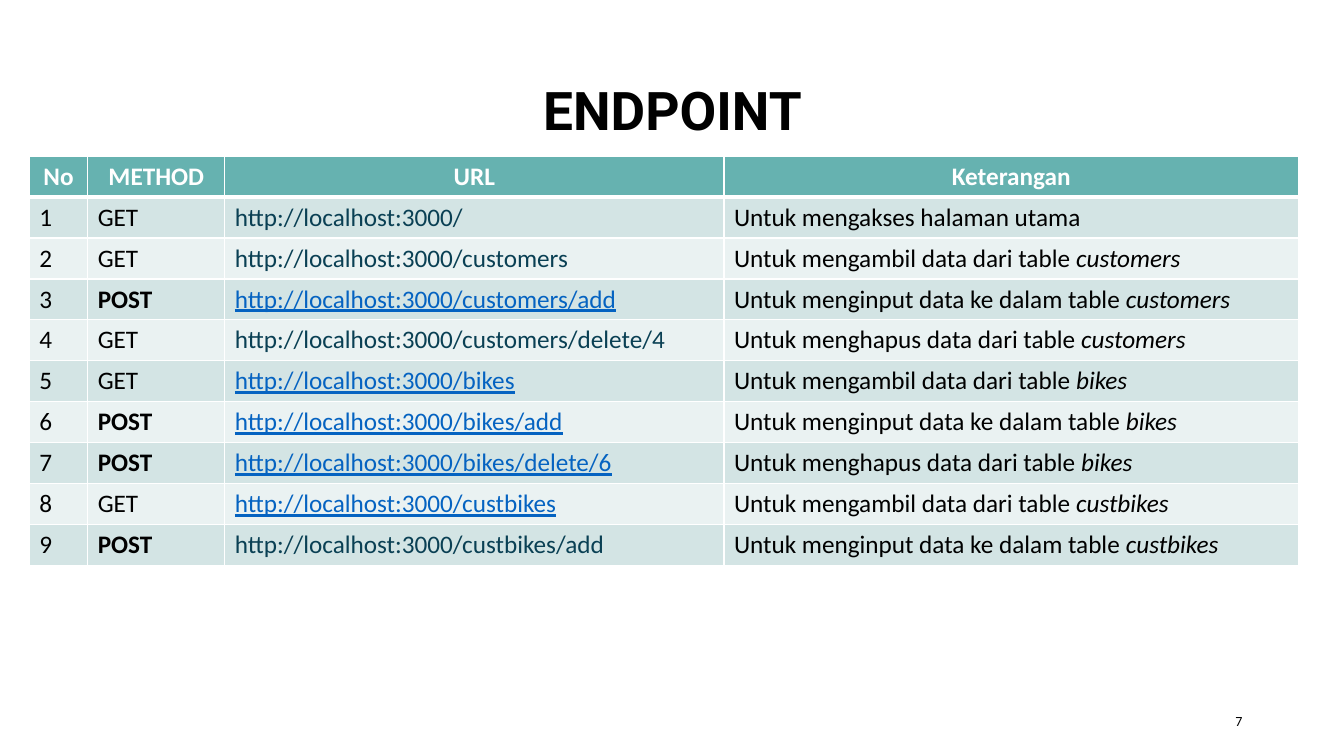
"""Build the ENDPOINT slide, a table of the routes of a local web service."""
import lxml.etree
import pptx
import pptx.dml.color
import pptx.enum.text
import pptx.oxml.ns
import pptx.util
from pptx.util import Inches

TITLE = "ENDPOINT"
PAGE_NUMBER = "7"
HEADERS = ["No", "METHOD", "URL", "Keterangan"]
BASE_URL = "http://localhost:3000/"
ENDPOINTS = [
    ("GET", "", False, "Untuk mengakses halaman utama", ""),
    ("GET", "customers", False, "Untuk mengambil data dari table ", "customers"),
    ("POST", "customers/add", True, "Untuk menginput data ke dalam table ", "customers"),
    ("GET", "customers/delete/4", False, "Untuk menghapus data dari table ", "customers"),
    ("GET", "bikes", True, "Untuk mengambil data dari table ", "bikes"),
    ("POST", "bikes/add", True, "Untuk menginput data ke dalam table ", "bikes"),
    ("POST", "bikes/delete/6", True, "Untuk menghapus data dari table ", "bikes"),
    ("GET", "custbikes", True, "Untuk mengambil data dari table ", "custbikes"),
    ("POST", "custbikes/add", False, "Untuk menginput data ke dalam table ", "custbikes"),
]
COLUMN_WIDTHS = [0.58, 1.36, 4.95, 5.7]
TABLE_HEIGHT = 4.06
BLACK, WHITE = "000000", "FFFFFF"
HEADER_FILL = "66B2B0"
BAND_FILLS = ["D3E4E4", "EAF2F2"]
URL_COLOR, LINK_COLOR = "0A4054", "0563C1"
MIDDLE = pptx.enum.text.MSO_ANCHOR.MIDDLE
ALIGN = pptx.enum.text.PP_ALIGN


def color(value):
    return pptx.dml.color.RGBColor.from_string(value)


def add_text(paragraph, text, size=18, font="Calibri", fill=BLACK, bold=False,
             italic=False, underline=False, align=None):
    run = paragraph.add_run()
    run.text = text
    run.font.size = pptx.util.Pt(size)
    run.font.name = font
    run.font.color.rgb = color(fill)
    run.font.bold = bold
    run.font.italic = italic
    run.font.underline = underline
    if align is not None:
        paragraph.alignment = align


def format_cell(cell, fill, top, bottom):
    cell.fill.solid()
    cell.fill.fore_color.rgb = color(fill)
    properties = cell._tc.get_or_add_tcPr()
    sides = [("lnL", 1), ("lnR", 1), ("lnT", top), ("lnB", bottom)]
    for position, (side, width) in enumerate(sides):
        line = lxml.etree.Element(pptx.oxml.ns.qn(f"a:{side}"), w=str(pptx.util.Pt(width)))
        solid = lxml.etree.SubElement(line, pptx.oxml.ns.qn("a:solidFill"))
        lxml.etree.SubElement(solid, pptx.oxml.ns.qn("a:srgbClr"), val=WHITE)
        properties.insert(position, line)


def add_title(slide):
    title = slide.shapes.title
    title.left, title.top = Inches(0.92), Inches(0.4)
    title.width, title.height = Inches(11.5), Inches(1.45)
    title.text_frame.vertical_anchor = MIDDLE
    paragraph = title.text_frame.paragraphs[0]
    paragraph.line_spacing = 0.9
    add_text(paragraph, TITLE, size=38, font="Roboto", bold=True, align=ALIGN.CENTER)


def add_page_number(slide):
    box = slide.shapes.add_textbox(Inches(9.42), Inches(6.95), Inches(3), Inches(0.4))
    box.text_frame.word_wrap = True
    box.text_frame.vertical_anchor = MIDDLE
    add_text(box.text_frame.paragraphs[0], PAGE_NUMBER, size=10, align=ALIGN.RIGHT)


def add_endpoint_table(slide):
    row_count = len(ENDPOINTS) + 1
    table = slide.shapes.add_table(
        row_count, len(HEADERS), Inches(0.29), Inches(1.55),
        Inches(sum(COLUMN_WIDTHS)), Inches(TABLE_HEIGHT)).table
    for column, width in zip(table.columns, COLUMN_WIDTHS):
        column.width = Inches(width)
    for index, row in enumerate(table.rows):
        row.height = Inches(TABLE_HEIGHT / row_count)
        fill = BAND_FILLS[(index - 1) % 2] if index else HEADER_FILL
        for cell in row.cells:
            format_cell(cell, fill, top=3 if index == 1 else 1, bottom=1 if index else 3)

    for cell, header in zip(table.rows[0].cells, HEADERS):
        add_text(cell.text_frame.paragraphs[0], header, fill=WHITE, bold=True, align=ALIGN.CENTER)
    for number, (method, route, linked, purpose, table_name) in enumerate(ENDPOINTS, 1):
        number_text, method_text, url_text, purpose_text = (
            cell.text_frame.paragraphs[0] for cell in table.rows[number].cells)
        add_text(number_text, str(number))
        add_text(method_text, method, bold=method == "POST")
        add_text(url_text, BASE_URL + route, fill=LINK_COLOR if linked else URL_COLOR,
                 underline=linked)
        add_text(purpose_text, purpose)
        if table_name:
            add_text(purpose_text, table_name, italic=True)


def main():
    presentation = pptx.Presentation()
    presentation.slide_width, presentation.slide_height = Inches(13.33), Inches(7.5)
    slide = presentation.slides.add_slide(presentation.slide_layouts[5])
    add_title(slide)
    add_page_number(slide)
    add_endpoint_table(slide)
    presentation.save("out.pptx")


if __name__ == "__main__":
    main()
